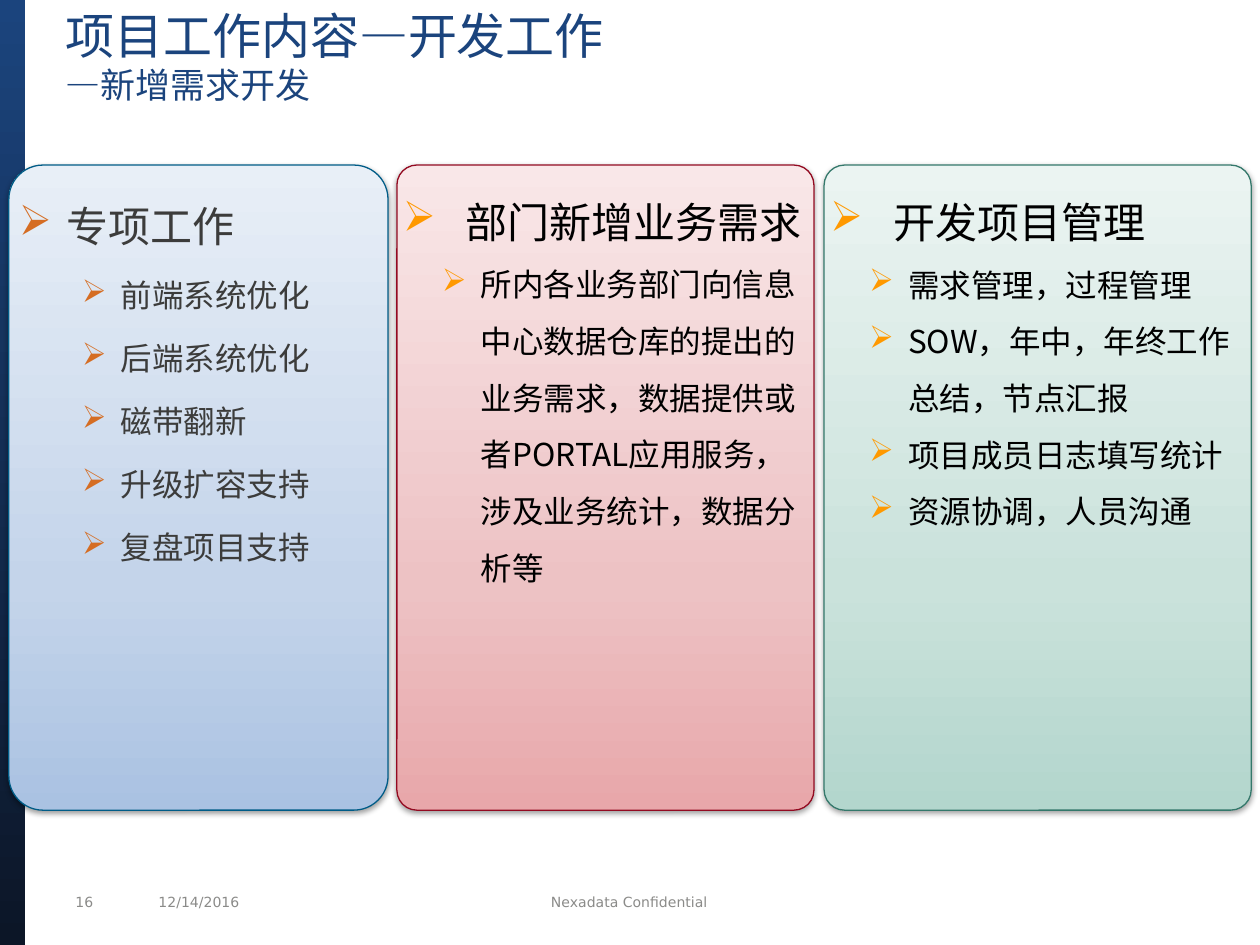
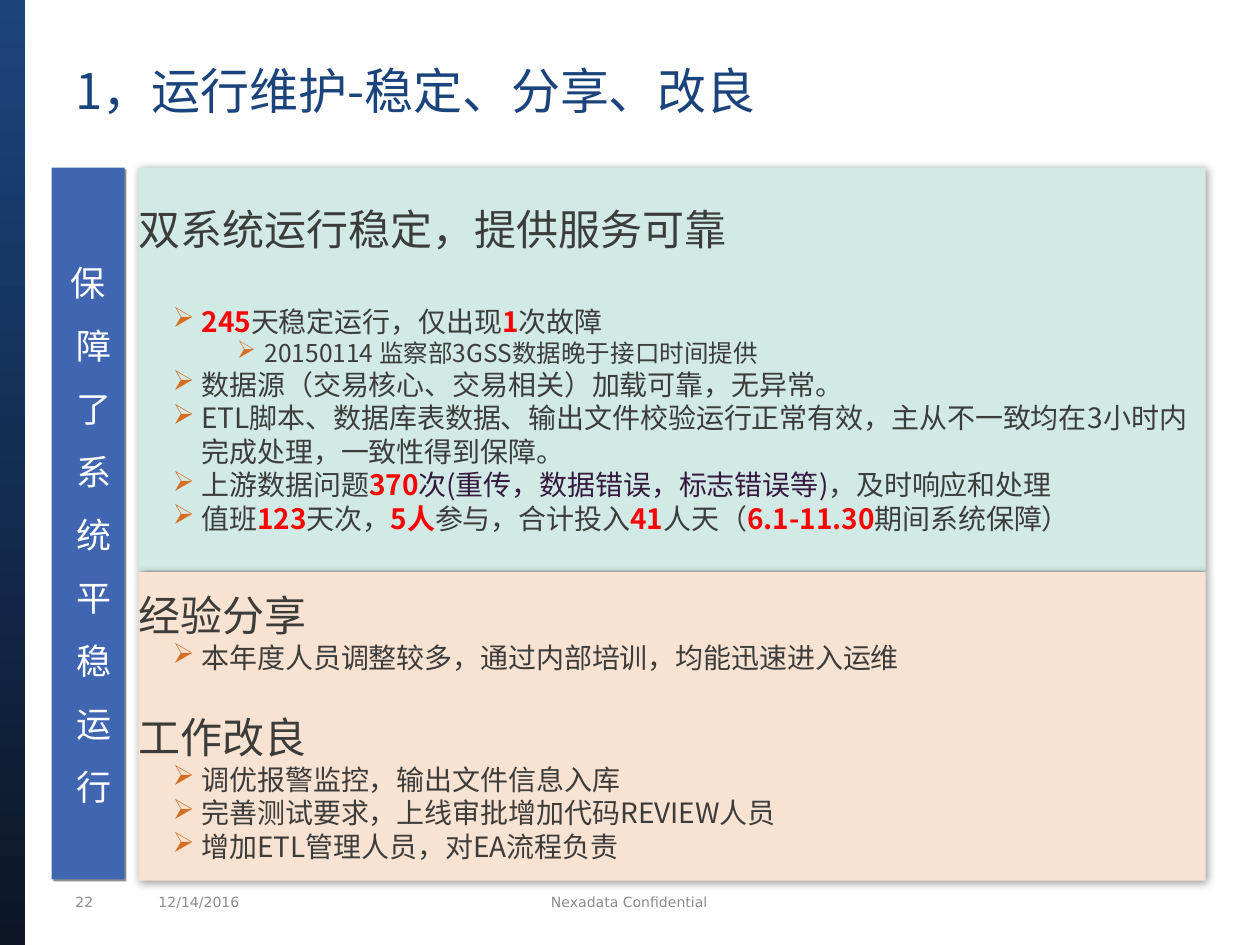
"""Build two slides on development work and on system operation."""
import copy

from lxml import etree
from pptx import Presentation
from pptx import util as u
from pptx.dml.color import RGBColor
from pptx.enum import shapes, text
from pptx.oxml.ns import qn

COLORS = {
    "navy": "1B447D", "night": "0C1627", "footer": "8B8B89", "ink": "3C3C3B",
    "black": "000000", "white": "FFFFFF", "red": "FF0000", "plum": "361840",
    "rust": "D56D23", "amber": "FF9900", "banner": "4066B2",
    "mint": "D1EAE5", "peach": "F8E2D2",
}
CJK_FONT, FOOTER_FONT = "Noto Sans CJK SC", "DejaVu Sans"
LINE_HEIGHT = 1.2

STYLES = {
    "title": {"size": 28, "color": "navy"},
    "subtitle": {"size": 20, "color": "navy"},
    "footer": {"size": 8, "color": "footer", "font": FOOTER_FONT},
    "footer center": {"size": 8, "color": "footer", "font": FOOTER_FONT,
                      "align": text.PP_ALIGN.CENTER},
    "focus head": {"size": 24, "color": "ink", "margin": 0.38, "hang": 0.38,
                   "spacing": 1.5, "bullet": "rust", "before": 4.8},
    "focus item": {"size": 18, "color": "ink", "margin": 0.81, "hang": 0.31, "level": 1,
                   "spacing": 1.5, "bullet": "rust", "before": 3.6},
    "card head": {"size": 24, "color": "black", "margin": 0.5, "hang": 0.5,
                  "spacing": 1.5, "bullet": "amber"},
    "card item": {"size": 18, "color": "black", "margin": 0.62, "hang": 0.31, "level": 1,
                  "spacing": 1.5, "bullet": "amber"},
    "banner": {"size": 20, "color": "white", "margin": 0.1, "hang": 0.1,
               "spacing": 1.5, "align": text.PP_ALIGN.CENTER},
    "head": {"size": 24, "color": "ink"},
    "later head": {"size": 24, "color": "ink", "before": 21.6},
    "item": {"size": 16, "color": "ink", "margin": 0.5, "hang": 0.23, "level": 1,
             "bullet": "rust"},
    "first item": {"size": 16, "color": "ink", "margin": 0.5, "hang": 0.23, "level": 1,
                   "bullet": "rust", "before": 28.8},
    "detail": {"size": 14, "color": "ink", "margin": 1, "hang": 0.22, "level": 2,
               "bullet": "rust"},
}

FOOTERS = [
    (0.5, 0.5, "footer", None),
    (1.16, 1.67, "footer", "12/14/2016"),
    (2.91, 4.17, "footer center", "Nexadata Confidential"),
]

DEVELOPMENT = {
    "number": "16",
    "title_box": (0.42, 0, 6, 1.25),
    "title": [("title", "项目工作内容—开发工作"), ("subtitle", "—新增需求开发")],
}
CARDS = [
    {"left": 0.07, "width": 3.01, "corner": 0.09, "line": "005C87", "style": "focus",
     "gradient": [(0, "AAC2E2"), (0.35, "C4D4EA"), (1, "E8EFF7")],
     "head": "专项工作",
     "items": ["前端系统优化", "后端系统优化", "磁带翻新", "升级扩容支持", "复盘项目支持"]},
    {"left": 3.15, "width": 3.31, "corner": 0.048, "line": "930A21", "style": "card",
     "gradient": [(0, "E8A7AA"), (0.35, "EDC2C4"), (1, "F9E7E8")],
     "head": "部门新增业务需求",
     "items": ["所内各业务部门向信息中心数据仓库的提出的业务需求，"
               "数据提供或者PORTAL应用服务，涉及业务统计，数据分析等"]},
    {"left": 6.54, "width": 3.39, "corner": 0.048, "line": "34786B", "style": "card",
     "gradient": [(0, "B3D6CD"), (0.35, "CAE2DB"), (1, "EBF4F2")],
     "head": "开发项目管理",
     "items": ["需求管理，过程管理", "SOW，年中，年终工作总结，节点汇报",
               "项目成员日志填写统计", "资源协调，人员沟通"]},
]

OPERATION = {
    "number": "22",
    "title_box": (0.5, 0.44, 9, 0.56),
    "title": [("title", "1，运行维护-稳定、分享、改良")],
}
BANNER = "保障了系统平稳运行"
PANELS = [
    {"top": 1.33, "height": 3.2, "fill": "mint", "lines": [
        ("head", "双系统运行稳定，提供服务可靠"),
        ("first item", [("red", "245"), "天稳定运行，仅出现", ("red", "1"), "次故障"]),
        ("detail", "20150114 监察部3GSS数据晚于接口时间提供"),
        ("item", "数据源（交易核心、交易相关）加载可靠，无异常。"),
        ("item", "ETL脚本、数据库表数据、输出文件校验运行正常有效，"
                 "主从不一致均在3小时内完成处理，一致性得到保障。"),
        ("item", ["上游数据问题", ("red", "370"),
                  ("plum", "次(重传，数据错误，标志错误等)"), "，及时响应和处理"]),
        ("item", ["值班", ("red", "123"), "天次，", ("red", "5人"), "参与，合计投入",
                  ("red", "41"), "人天（", ("red", "6.1-11.30"), "期间系统保障）"]),
    ]},
    {"top": 4.54, "height": 2.45, "fill": "peach", "lines": [
        ("head", "经验分享"),
        ("item", "本年度人员调整较多，通过内部培训，均能迅速进入运维"),
        ("later head", "工作改良"),
        ("item", "调优报警监控，输出文件信息入库"),
        ("item", "完善测试要求，上线审批增加代码REVIEW人员"),
        ("item", "增加ETL管理人员，对EA流程负责"),
    ]},
]


def rgb(color):
    return RGBColor.from_string(COLORS.get(color, color))


def inches(box):
    return [u.Inches(value) for value in box]


def set_all(target, values):
    for name, value in values.items():
        setattr(target, name, value)


def add_run(paragraph, content, style, color):
    run = paragraph.add_run()
    run.text = content
    font_name = style.get("font", CJK_FONT)
    set_all(run.font, {"name": font_name, "size": u.Pt(style["size"]), "bold": color == "red"})
    run.font.color.rgb = rgb(color)
    etree.SubElement(run.font._element, qn("a:ea"), typeface=font_name)


def write(frame, lines, anchor=text.MSO_ANCHOR.TOP, insets=(0, 0, 0, 0)):
    set_all(frame, {"word_wrap": True, "auto_size": text.MSO_AUTO_SIZE.NONE,
                    "vertical_anchor": anchor})
    sides = ("margin_left", "margin_top", "margin_right", "margin_bottom")
    set_all(frame, dict(zip(sides, inches(insets))))
    for index, (style_name, content) in enumerate(lines):
        style = STYLES[style_name]
        paragraph = frame.add_paragraph() if index else frame.paragraphs[0]
        spacing = style["size"] * LINE_HEIGHT * style.get("spacing", 1)
        set_all(paragraph, {
            "alignment": style.get("align", text.PP_ALIGN.LEFT),
            "level": style.get("level", 0),
            "line_spacing": u.Pt(spacing),
            "space_before": u.Pt(style.get("before", 0)),
        })
        for part in [content] if isinstance(content, str) else content:
            color, words = (style["color"], part) if isinstance(part, str) else part
            add_run(paragraph, words, style, color)
        properties = paragraph._p.get_or_add_pPr()
        properties.set("marL", str(u.Inches(style.get("margin", 0))))
        properties.set("indent", str(-u.Inches(style.get("hang", 0))))
        if "bullet" in style:
            bullet_color = etree.SubElement(properties, qn("a:buClr"))
            etree.SubElement(bullet_color, qn("a:srgbClr"), val=COLORS[style["bullet"]])
            etree.SubElement(properties, qn("a:buChar"), char="➢")


def add_block(slide, kind, box, line=None, shadow=None):
    shape = slide.shapes.add_shape(kind, *inches(box))
    if line:
        shape.line.color.rgb = rgb(line)
        shape.line.width = u.Pt(0.75)
    else:
        shape.line.fill.background()
    shape.shadow.inherit = False
    if shadow:
        alpha, blur, distance, angle = shadow
        effects = shape.element.spPr.find(qn("a:effectLst"))
        outer = etree.SubElement(
            effects, qn("a:outerShdw"), blurRad=str(u.Pt(blur)), dist=str(u.Pt(distance)),
            dir=str(angle * 60000), algn="ctr", rotWithShape="0")
        shade = etree.SubElement(outer, qn("a:srgbClr"), val=COLORS["black"])
        etree.SubElement(shade, qn("a:alpha"), val=str(alpha * 1000))
    return shape


def fill_solid(shape, color):
    shape.fill.solid()
    shape.fill.fore_color.rgb = rgb(color)


def fill_upward(shape, stops):
    shape.fill.gradient()
    shape.fill.gradient_angle = 90
    stop_list = shape.element.spPr.find(".//" + qn("a:gsLst"))
    while len(stop_list) < len(stops):
        stop_list.append(copy.deepcopy(stop_list[0]))
    for stop, (position, color) in zip(shape.fill.gradient_stops, stops):
        stop.position = position
        stop.color.rgb = rgb(color)


def add_framed_slide(presentation, content):
    slide = presentation.slides.add_slide(presentation.slide_layouts[5])
    band = add_block(slide, shapes.MSO_SHAPE.RECTANGLE, (0, 0, 0.2, 7.5))
    fill_upward(band, [(0, "night"), (1, "navy")])
    for left, width, style, words in FOOTERS:
        footer = slide.shapes.add_textbox(*inches((left, 7.04, width, 0.24)))
        write(footer.text_frame, [(style, words or content["number"])],
              text.MSO_ANCHOR.MIDDLE, (0.1, 0.05, 0.1, 0.05))
    title = slide.shapes.title
    set_all(title, dict(zip(("left", "top", "width", "height"), inches(content["title_box"]))))
    write(title.text_frame, content["title"], insets=(0.1, 0.04, 0.1, 0))
    return slide


def build_development(presentation):
    slide = add_framed_slide(presentation, DEVELOPMENT)
    for card in CARDS:
        shape = add_block(slide, shapes.MSO_SHAPE.ROUNDED_RECTANGLE,
                          (card["left"], 1.31, card["width"], 5.12),
                          card["line"], (38, 3.1, 1.6, 90))
        shape.adjustments[0] = card["corner"]
        fill_upward(shape, card["gradient"])
        style = card["style"]
        lines = [(style + " head", card["head"])]
        lines += [(style + " item", item) for item in card["items"]]
        write(shape.text_frame, lines)


def build_operation(presentation):
    slide = add_framed_slide(presentation, OPERATION)
    banner = add_block(slide, shapes.MSO_SHAPE.RECTANGLE, (0.41, 1.33, 0.58, 5.65),
                       shadow=(43, 0, 1.5, 45))
    fill_solid(banner, "banner")
    write(banner.text_frame, [("banner", BANNER)], text.MSO_ANCHOR.MIDDLE,
          (0.04, 0.1, 0.04, 0.1))
    banner.element.find(".//" + qn("a:bodyPr")).set("vert", "wordArtVert")
    for panel in PANELS:
        shape = add_block(slide, shapes.MSO_SHAPE.RECTANGLE,
                          (1.1, panel["top"], 8.47, panel["height"]), shadow=(40, 5, 1.5, 45))
        fill_solid(shape, panel["fill"])
        write(shape.text_frame, panel["lines"], text.MSO_ANCHOR.MIDDLE)


def main():
    presentation = Presentation()
    presentation.slide_width, presentation.slide_height = inches((10, 7.5))
    build_development(presentation)
    build_operation(presentation)
    presentation.save("out.pptx")


if __name__ == "__main__":
    main()
